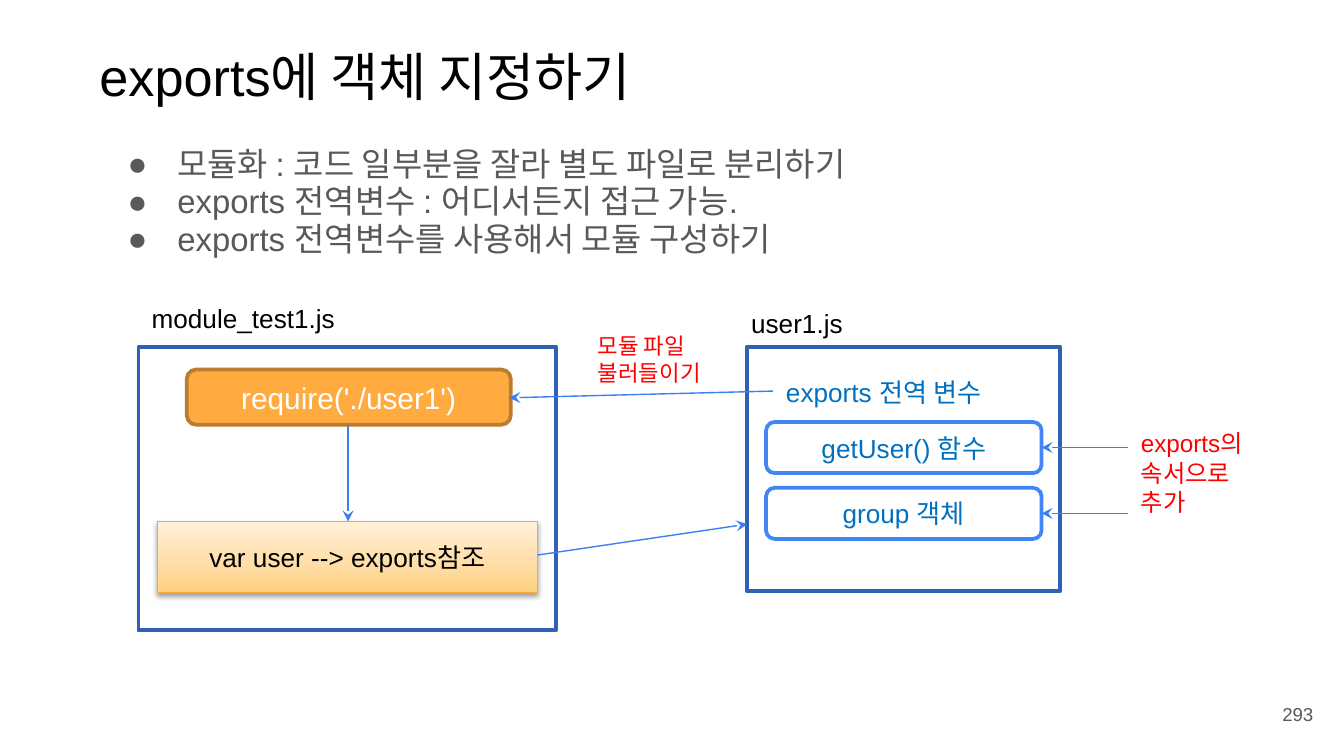
from lxml import etree
from pptx import Presentation
from pptx.dml.color import RGBColor
from pptx.enum.shapes import MSO_CONNECTOR, MSO_SHAPE
from pptx.enum.text import MSO_ANCHOR, MSO_AUTO_SIZE, PP_ALIGN
from pptx.oxml.ns import qn
from pptx.util import Inches, Pt

LEFT, CENTER, RIGHT = PP_ALIGN.LEFT, PP_ALIGN.CENTER, PP_ALIGN.RIGHT
TOP, MIDDLE = MSO_ANCHOR.TOP, MSO_ANCHOR.MIDDLE
RECTANGLE, ROUNDED = MSO_SHAPE.RECTANGLE, MSO_SHAPE.ROUNDED_RECTANGLE
STRAIGHT, NO_AUTOFIT = MSO_CONNECTOR.STRAIGHT, MSO_AUTO_SIZE.NONE

FONT = "Arial"
COLORS = {
    "black": "000000", "white": "FFFFFF", "gray": "595959", "red": "FF0000",
    "frame": "3061B2", "text_blue": "0070C0", "box_blue": "4285F4", "arrow": "3B7FF2",
    "orange": "FFAB40", "orange_edge": "BA7C2E", "amber_edge": "FDA739",
    "amber_dark": "FFD17D", "amber_mid": "FFDCA3", "amber_light": "FFF1D8",
}

TITLE = "exports에 객체 지정하기"
BULLETS = [
    "모듈화 : 코드 일부분을 잘라 별도 파일로 분리하기",
    "exports 전역변수 : 어디서든지 접근 가능.",
    "exports 전역변수를 사용해서 모듈 구성하기",
]
PAGE_NUMBER = "293"

MODULE_FRAME = (1.03, 2.58, 3.11, 2.11)
USER_FRAME = (5.56, 2.58, 2.33, 1.82)
REQUIRE_BOX = (1.39, 2.75, 2.41, 0.41)
REFERENCE_BOX = (1.17, 3.88, 2.83, 0.53)
GRADIENT = [(0, "amber_dark"), (35, "amber_mid"), (100, "amber_light")]

MEMBERS = ["getUser() 함수", "group 객체"]
MEMBER_LEFT, MEMBER_TOP, MEMBER_WIDTH, MEMBER_HEIGHT = 5.7, 3.14, 2.05, 0.38
MEMBER_STEP = 0.49

LABELS = [
    (["module_test1.js"], (1.03, 2.2, 1.86, 0.34), 14, "black"),
    (["user1.js"], (5.49, 2.24, 1.38, 0.34), 14, "black"),
    (["exports 전역 변수"], (5.75, 2.75, 1.96, 0.34), 14, "text_blue"),
    (["모듈 파일", "불러들이기"], (4.35, 2.42, 1.06, 0.5), 12, "red"),
    (["exports의", "속서으로", "추가"], (8.39, 3.14, 1.13, 0.76), 13, "red"),
]
ARROWS = [
    ((2.59, 3.17), (2.59, 3.88)),
    ((5.75, 2.91), (3.79, 2.96)),
    ((4, 4.13), (5.56, 3.9)),
]


def rgb(name):
    return RGBColor.from_string(COLORS[name])


def add_element(parent, tag, **attributes):
    return etree.SubElement(parent, qn(tag), attributes)


def place(shape, area):
    shape.left, shape.top, shape.width, shape.height = map(Inches, area)


def write(shape, lines, size, color, align=LEFT, anchor=TOP, inset=0.05, bullet=None):
    frame = shape.text_frame
    frame.word_wrap = True
    frame.auto_size = NO_AUTOFIT
    frame.vertical_anchor = anchor
    frame.margin_left = frame.margin_right = Inches(0.1)
    frame.margin_top = frame.margin_bottom = Inches(inset)
    for index, line in enumerate(lines):
        para = frame.add_paragraph() if index else frame.paragraphs[0]
        para.alignment = align
        para.space_before = Pt(0)
        if bullet:
            para.line_spacing = 0.95
            properties = para._p.get_or_add_pPr()
            properties.set("marL", str(Inches(0.5)))
            properties.set("indent", str(Inches(-0.37)))
            bullet_color = add_element(properties, "a:buClr")
            add_element(bullet_color, "a:srgbClr", val=COLORS[color])
            add_element(properties, "a:buChar", char=bullet)
        span = para.add_run()
        span.text = line
        span.font.size = Pt(size)
        span.font.name = FONT
        span.font.color.rgb = rgb(color)


def add_box(slide, kind, area, edge, width=2, fill=None):
    box = slide.shapes.add_shape(kind, *map(Inches, area))
    box.shadow.inherit = False
    box.line.color.rgb = rgb(edge)
    box.line.width = Pt(width)
    if fill:
        box.fill.solid()
        box.fill.fore_color.rgb = rgb(fill)
    else:
        box.fill.background()
    return box


def add_label(slide, lines, area, size, color, **options):
    label = slide.shapes.add_textbox(*map(Inches, area))
    write(label, lines, size, color, **options)


def add_arrow(slide, start, end):
    arrow = slide.shapes.add_connector(STRAIGHT, *map(Inches, start + end))
    arrow.line.color.rgb = rgb("arrow")
    arrow.line.width = Pt(0.75)
    add_element(arrow.line._get_or_add_ln(), "a:tailEnd", type="stealth")
    add_element(arrow._element.spPr, "a:effectLst")


def shade(box):
    box.fill.gradient()
    box.fill.gradient_angle = 90
    properties = box._element.spPr
    stops = properties.find(".//" + qn("a:gsLst"))
    for stop in list(stops):
        stops.remove(stop)
    for percent, color in GRADIENT:
        stop = add_element(stops, "a:gs", pos=str(percent * 1000))
        add_element(stop, "a:srgbClr", val=COLORS[color])
    shadow = add_element(
        properties.find(qn("a:effectLst")), "a:outerShdw",
        blurRad=str(Pt(3.1)), dist=str(Pt(1.6)), dir="5400000", rotWithShape="0",
    )
    shadow_color = add_element(shadow, "a:srgbClr", val=COLORS["black"])
    add_element(shadow_color, "a:alpha", val="37000")


def main():
    deck = Presentation()
    deck.slide_width = Inches(10)
    deck.slide_height = deck.slide_width * 9 // 16
    slide = deck.slides.add_slide(deck.slide_layouts[1])

    title, body = slide.placeholders
    place(title, (0.64, 0.23, 9.36, 0.77))
    write(title, [TITLE], 28, "black", inset=0.1)
    place(body, (0.72, 0.99, 8.46, 1.09))
    write(body, BULLETS, 17.6, "gray", inset=0.1, bullet="●")
    add_label(slide, [PAGE_NUMBER], (9.27, 5.1, 0.6, 0.43), 10, "gray",
              align=RIGHT, anchor=MIDDLE, inset=0.1)

    for area in (MODULE_FRAME, USER_FRAME):
        add_box(slide, RECTANGLE, area, "frame")

    require_box = add_box(slide, ROUNDED, REQUIRE_BOX, "orange_edge", fill="orange")
    write(require_box, ["require('./user1')"], 16, "white", CENTER, MIDDLE)

    reference_box = add_box(slide, RECTANGLE, REFERENCE_BOX, "amber_edge", 0.75)
    shade(reference_box)
    write(reference_box, ["var user --> exports참조"], 14, "black", CENTER, MIDDLE)

    for label in LABELS:
        add_label(slide, *label)

    for index, member in enumerate(MEMBERS):
        top = MEMBER_TOP + index * MEMBER_STEP
        area = (MEMBER_LEFT, top, MEMBER_WIDTH, MEMBER_HEIGHT)
        box = add_box(slide, ROUNDED, area, "box_blue", fill="white")
        write(box, [member], 14, "text_blue", CENTER, MIDDLE)
        middle = top + MEMBER_HEIGHT / 2
        add_arrow(slide, (8.39, middle), (MEMBER_LEFT + MEMBER_WIDTH, middle))

    for start, end in ARROWS:
        add_arrow(slide, start, end)

    deck.save("out.pptx")


if __name__ == "__main__":
    main()
